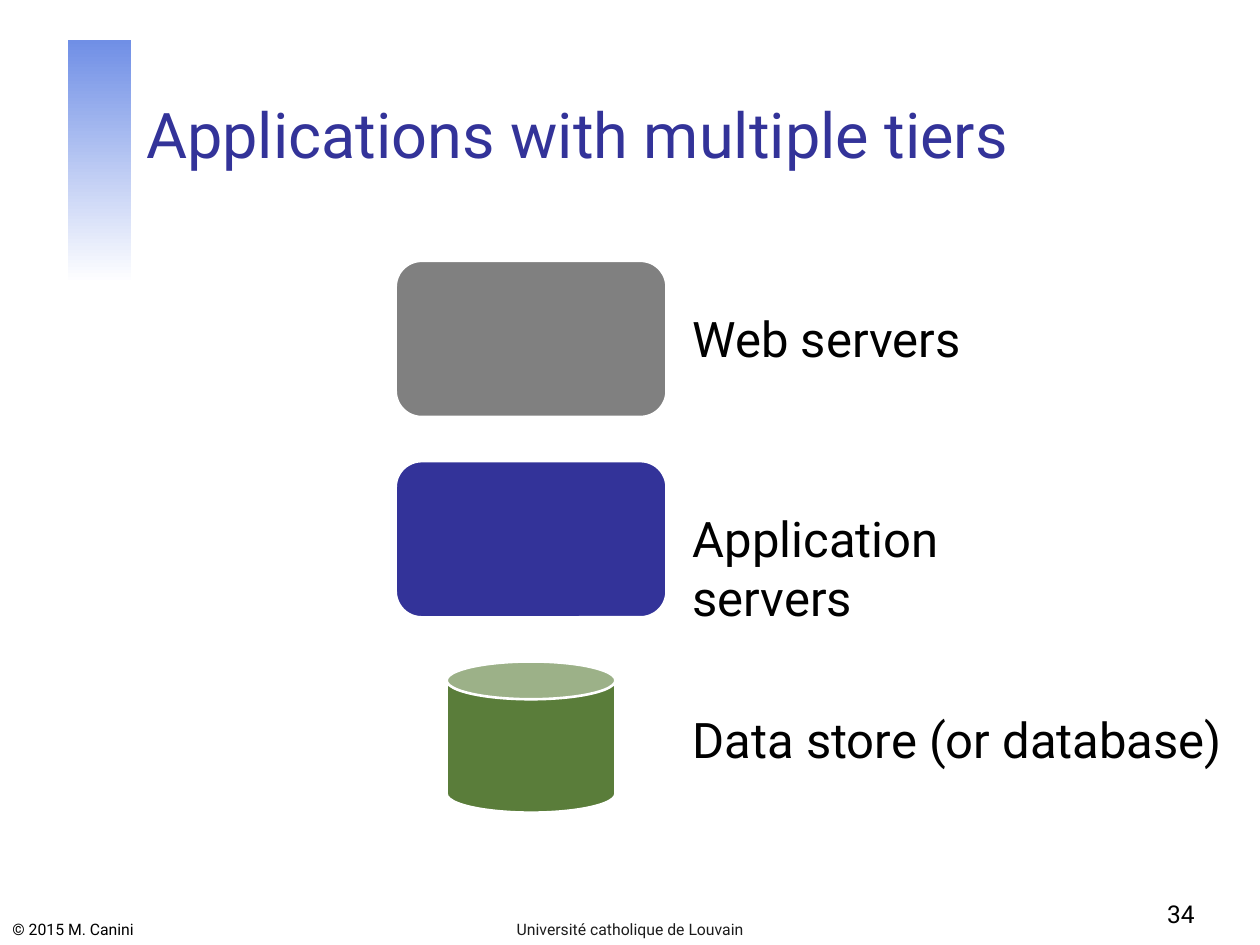
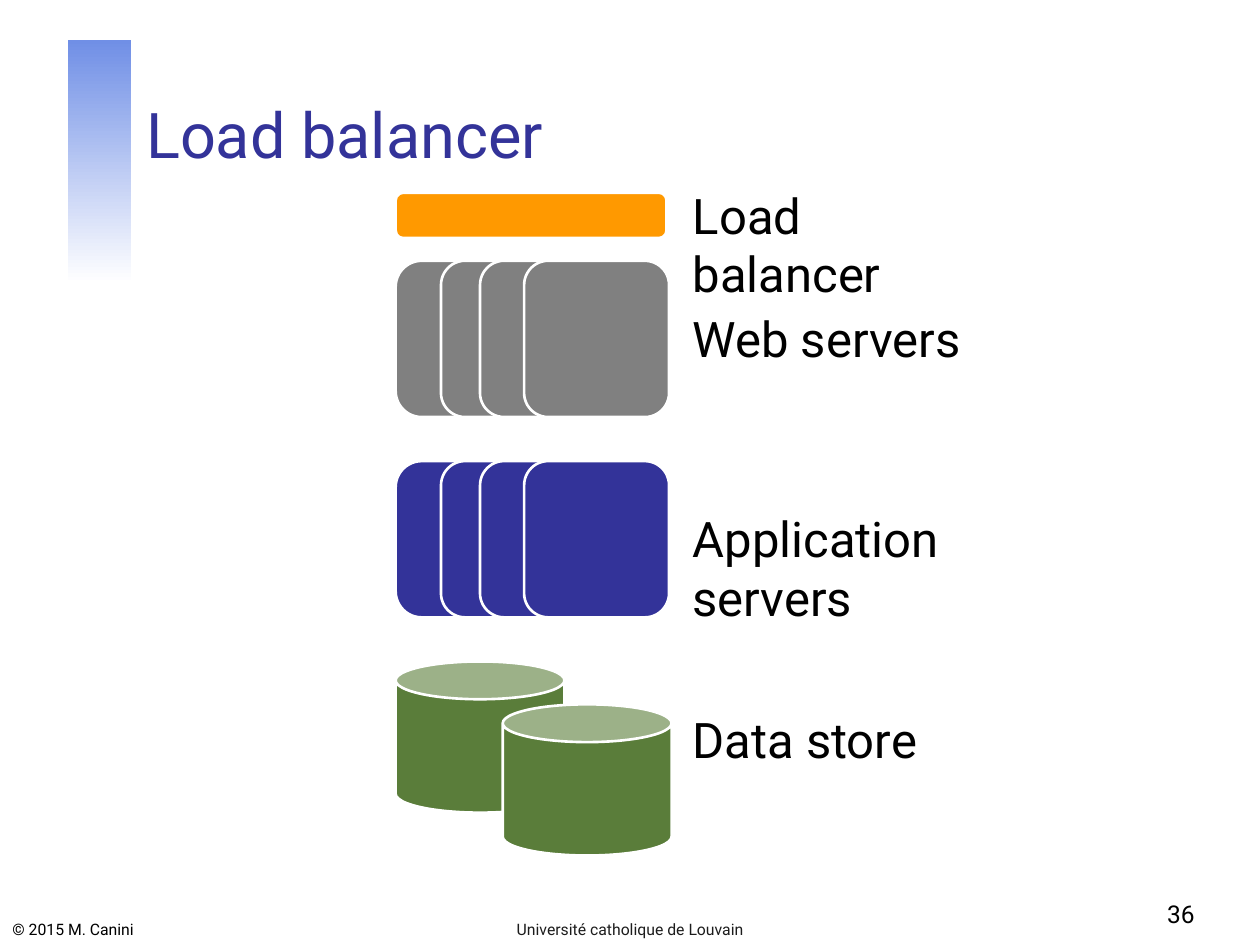
from pptx import Presentation
from pptx.dml.color import RGBColor
from pptx.enum.shapes import MSO_SHAPE
from pptx.enum.text import MSO_ANCHOR, MSO_AUTO_SIZE, PP_ALIGN
from pptx.util import Inches, Pt

RECTANGLE, ROUNDED, CAN = MSO_SHAPE.RECTANGLE, MSO_SHAPE.ROUNDED_RECTANGLE, MSO_SHAPE.CAN
TOP, BOTTOM = MSO_ANCHOR.TOP, MSO_ANCHOR.BOTTOM
LEFT, CENTER, RIGHT = PP_ALIGN.LEFT, PP_ALIGN.CENTER, PP_ALIGN.RIGHT

FONT = "Roboto"
WHITE = RGBColor(0xFF, 0xFF, 0xFF)
BLACK = RGBColor(0x00, 0x00, 0x00)
CHARCOAL = RGBColor(0x1C, 0x1C, 0x1C)
SKY = RGBColor(0x70, 0x8F, 0xE6)
INDIGO = RGBColor(0x33, 0x33, 0x99)
GREY = RGBColor(0x80, 0x80, 0x80)
GREEN = RGBColor(0x5A, 0x7D, 0x3A)
ORANGE = RGBColor(0xFF, 0x99, 0x00)

# Grid in inches: one column of servers, one of labels, three equal tiers
SERVER_LEFT, LABEL_LEFT = 3.14, 5.4
WEB_ROW, APP_ROW, DATA_ROW = [2.07 + 1.59 * tier for tier in range(3)]
LABEL_DROP, LABEL_HEIGHT = 0.33, 0.57
SERVER_WIDTH, SERVER_HEIGHT = 2.15, 1.24
REPLICA_WIDTH, REPLICA_STEPS = 1.15, (0.36, 0.67, 1.02)
STORE_WIDTH, STORE_HEIGHT = 1.34, 1.2
BALANCER_TOP, BALANCER_HEIGHT = 1.53, 0.36


def add_block(page, kind, left, top, width, height, color):
    """Add a filled shape with a white outline."""
    block = page.shapes.add_shape(kind, Inches(left), Inches(top), Inches(width), Inches(height))
    block.shadow.inherit = False
    block.fill.solid()
    block.fill.fore_color.rgb = color
    block.line.color.rgb = WHITE
    block.line.width = Pt(1.5)
    return block


def add_text(page, text, left, top, width, height, size, color=BLACK, align=LEFT, anchor=BOTTOM):
    """Add a wrapped text box holding one formatted paragraph."""
    box = page.shapes.add_textbox(Inches(left), Inches(top), Inches(width), Inches(height))
    frame = box.text_frame
    frame.word_wrap = True
    frame.vertical_anchor = anchor
    frame.text = text
    para = frame.paragraphs[0]
    para.alignment = align
    font = para.runs[0].font
    font.name, font.size, font.color.rgb = FONT, Pt(size), color
    return box


deck = Presentation()
deck.slide_width, deck.slide_height = Inches(10), Inches(7.5)
layout = deck.slide_layouts.get_by_name("Title Only")
title_holder = layout.placeholders[0]
title_holder.left, title_holder.top = Inches(1.06), Inches(0.33)
title_holder.width, title_holder.height = Inches(8.52), Inches(1.08)

# Each slide: title, number, and its labels as (text, top, width)
slides = [
    ("Applications with multiple tiers", "34", [
        ("Web servers", WEB_ROW + LABEL_DROP, 2.4),
        ("Application servers", APP_ROW + LABEL_DROP, 3.4),
        ("Data store (or database)", DATA_ROW + LABEL_DROP, 4.5)]),
    ("Load balancer", "36", [
        ("Load balancer", 1.42, 2.55),
        ("Web servers", WEB_ROW + LABEL_DROP, 2.4),
        ("Application servers", APP_ROW + LABEL_DROP, 3.4),
        ("Data store", DATA_ROW + LABEL_DROP, 2.1)]),
]

pages = []
for heading, number, labels in slides:
    page = deck.slides.add_slide(layout)
    pages.append(page)
    frame = page.shapes.title.text_frame
    frame.text = heading
    frame.word_wrap = True
    frame.auto_size = MSO_AUTO_SIZE.NONE
    frame.vertical_anchor = BOTTOM
    para = frame.paragraphs[0]
    para.alignment = LEFT
    span = para.runs[0]
    span.font.name, span.font.size, span.font.color.rgb = FONT, Pt(36), INDIGO

    add_text(page, number, 7.5, 6.92, 2.08, 0.5, 14, align=RIGHT)
    add_text(page, "Université catholique de Louvain", 3.42, 7.22, 3.16, 0.28, 9, CHARCOAL, CENTER)
    for row, color in ((WEB_ROW, GREY), (APP_ROW, INDIGO)):
        add_block(page, ROUNDED, SERVER_LEFT, row, SERVER_WIDTH, SERVER_HEIGHT, color)
    for text, top, width in labels:
        add_text(page, text, LABEL_LEFT, top, width, LABEL_HEIGHT, 28, anchor=TOP)

tiers_page, balancer_page = pages

# A single data store is centred under its servers
store_left = SERVER_LEFT + (SERVER_WIDTH - STORE_WIDTH) / 2
add_block(tiers_page, CAN, store_left, DATA_ROW, STORE_WIDTH, STORE_HEIGHT, GREEN)

# Replicated servers and stores behind one load balancer
for row, color in ((APP_ROW, INDIGO), (WEB_ROW, GREY)):
    for step in REPLICA_STEPS:
        add_block(balancer_page, ROUNDED, SERVER_LEFT + step, row,
                  REPLICA_WIDTH, SERVER_HEIGHT, color)
for across, down in ((0, 0), (0.85, 0.34)):
    add_block(balancer_page, CAN, SERVER_LEFT + across, DATA_ROW + down,
              STORE_WIDTH, STORE_HEIGHT, GREEN)
add_block(balancer_page, ROUNDED, SERVER_LEFT, BALANCER_TOP, SERVER_WIDTH, BALANCER_HEIGHT, ORANGE)

# The gradient band and the copyright line move to the master
band = add_block(tiers_page, RECTANGLE, 0.54, 0.32, 0.5, 1.93, SKY)
band.line.fill.background()
band.fill.gradient()
band.fill.gradient_angle = 270
for stop, color, position in zip(band.fill.gradient_stops, (SKY, WHITE), (0, 1)):
    stop.color.rgb = color
    stop.position = position
copyright_line = add_text(tiers_page, "© 2015 M. Canini", 0, 7.22, 3.02, 0.28, 9)
for shared in (band, copyright_line):
    deck.slide_master.shapes.element.append(shared.element)

deck.save("out.pptx")
